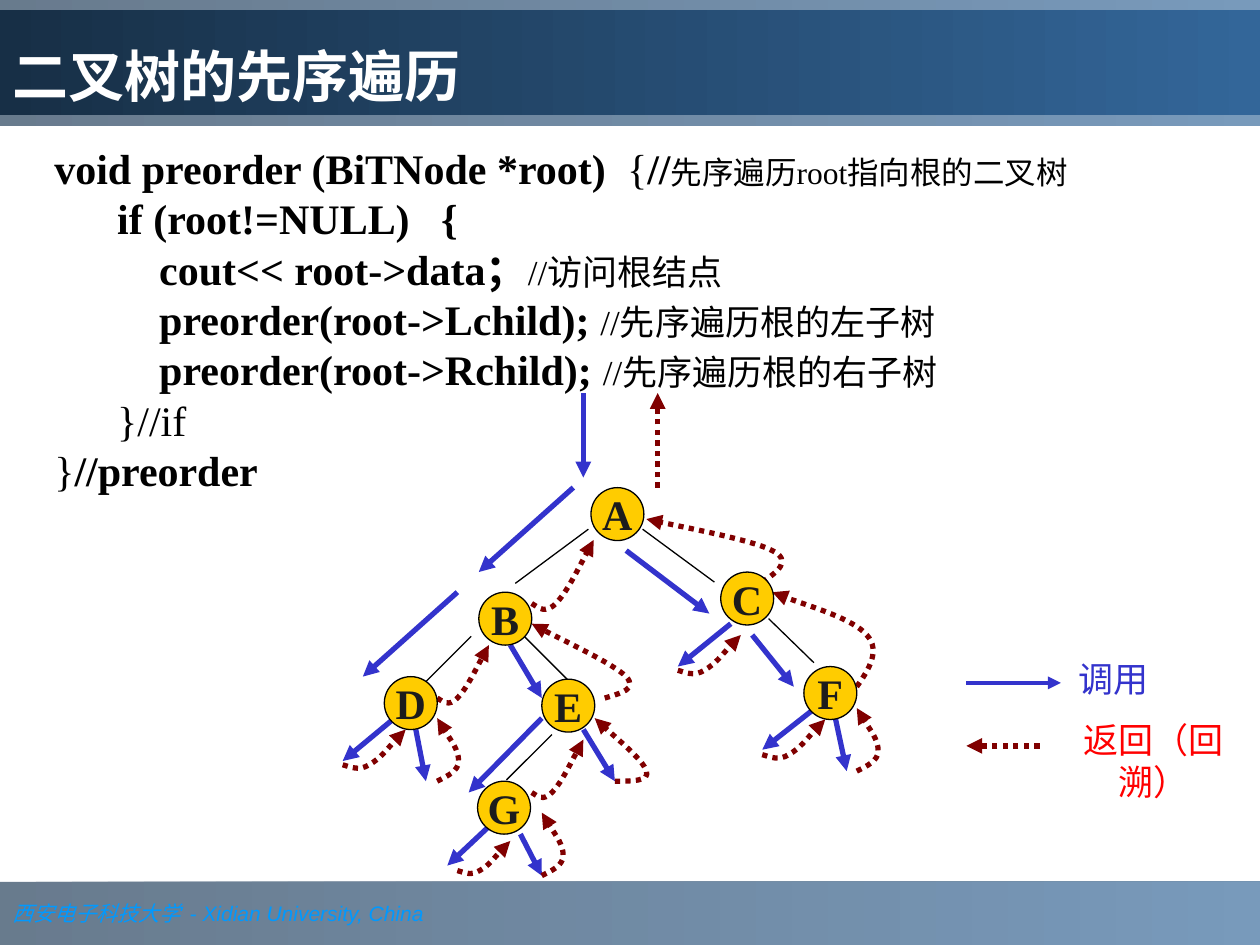
"""Build the slide on preorder traversal of a binary tree."""
from lxml import etree
from pptx import Presentation
from pptx.dml.color import RGBColor
from pptx.enum.dml import MSO_LINE
from pptx.enum.shapes import MSO_CONNECTOR, MSO_SHAPE
from pptx.enum.text import MSO_ANCHOR, PP_ALIGN
from pptx.oxml.ns import qn
from pptx.util import Inches, Pt

RECTANGLE, OVAL = MSO_SHAPE.RECTANGLE, MSO_SHAPE.OVAL
STRAIGHT = MSO_CONNECTOR.STRAIGHT
DOTTED = MSO_LINE.ROUND_DOT
MIDDLE, BOTTOM = MSO_ANCHOR.MIDDLE, MSO_ANCHOR.BOTTOM
LEFT, CENTER = PP_ALIGN.LEFT, PP_ALIGN.CENTER

WHITE = RGBColor(0xFF, 0xFF, 0xFF)
BLACK = RGBColor(0x00, 0x00, 0x00)
BAND_DARK = RGBColor(0x1B, 0x37, 0x53)
TITLE_DARK = RGBColor(0x17, 0x2F, 0x46)
BAND_LIGHT = RGBColor(0x33, 0x66, 0x99)
FOOTER_BLUE = RGBColor(0x00, 0x99, 0xFF)
CALL_BLUE = RGBColor(0x33, 0x33, 0xCC)
RETURN_MAROON = RGBColor(0x80, 0x00, 0x00)
RETURN_RED = RGBColor(0xFF, 0x00, 0x00)
NODE_YELLOW = RGBColor(0xFF, 0xCC, 0x00)
NODE_TEXT = RGBColor(0x1C, 0x1C, 0x1C)
SERIF = "Times New Roman"

prs = Presentation()
prs.slide_width, prs.slide_height = Inches(10), Inches(7.5)
slide = prs.slides.add_slide(prs.slide_layouts[6])
shapes = slide.shapes


def style_line(stroke, color, width, dotted=False, arrow=True):
    stroke.line.color.rgb = color
    stroke.line.width = Pt(width)
    if dotted:
        stroke.line.dash_style = DOTTED
    properties = stroke._element.spPr
    if arrow:
        etree.SubElement(properties.find(qn("a:ln")), qn("a:tailEnd"), type="triangle")
    etree.SubElement(properties, qn("a:effectLst"))


def add_straight(x1, y1, x2, y2, *style, **options):
    connector = shapes.add_connector(STRAIGHT, Inches(x1), Inches(y1), Inches(x2), Inches(y2))
    style_line(connector, *style, **options)


bands = []
for top, height, dark, opacity in [
    (7, 0.5, BAND_DARK, "66000"),
    (0, 1, BAND_DARK, "66000"),
    (0.08, 0.83, TITLE_DARK, None),
]:
    band = shapes.add_shape(RECTANGLE, 0, Inches(top), Inches(10), Inches(height))
    band.shadow.inherit = False
    band.line.fill.background()
    band.fill.gradient()
    band.fill.gradient_angle = 0
    for stop, color in zip(band.fill.gradient_stops, (dark, BAND_LIGHT)):
        stop.color.rgb = color
    if opacity:
        for color_element in band._element.spPr.iter(qn("a:srgbClr")):
            etree.SubElement(color_element, qn("a:alpha"), val=opacity)
    bands.append(band)
footer, _, title = bands

footer.text_frame.word_wrap = False
footer.text_frame.vertical_anchor = MIDDLE
university = footer.text_frame.paragraphs[0]
university.alignment = LEFT
university.font.size = Pt(12)
university.font.italic = True
university.font.color.rgb = FOOTER_BLUE
for wording, font_name in [("西安电子科技大学  ", SERIF), ("- Xidian University, China", "Arial")]:
    run = university.add_run()
    run.text = wording
    run.font.name = font_name

title.text_frame.vertical_anchor = BOTTOM
heading = title.text_frame.paragraphs[0]
heading.text = "二叉树的先序遍历"
heading.alignment = LEFT
heading.font.name = "Roboto"
heading.font.size = Pt(32)
heading.font.bold = True
heading.font.color.rgb = WHITE

code_lines = [
    [("\N{NO-BREAK SPACE}   void preorder (BiTNode *root)  ", 24, True), ("{", 24, False),
     ("//", 24, True), ("先序遍历root指向根的二叉树", 18, False)],
    [("          if (root!=NULL)   {", 24, True)],
    [("              cout<< root->data；", 24, True), ("//访问根结点", 20, False)],
    [("              preorder(root->Lchild); ", 24, True), ("//先序遍历根的左子树", 20, False)],
    [("              preorder(root->Rchild); ", 24, True), ("//先序遍历根的右子树", 20, False)],
    [("          }//if", 24, False)],
    [("    }", 24, False), ("//preorder", 24, True)],
]
listing = shapes.add_textbox(0, Inches(1.08), Inches(10), Inches(2.9))
listing.fill.solid()
listing.fill.fore_color.rgb = WHITE
listing.text_frame.word_wrap = True
for number, parts in enumerate(code_lines):
    code = listing.text_frame.add_paragraph() if number else listing.text_frame.paragraphs[0]
    code_properties = code._p.get_or_add_pPr()
    code_properties.set("marL", str(Inches(0.5)))
    code_properties.set("indent", str(Inches(-0.5)))
    code.font.name = SERIF
    code.font.color.rgb = BLACK
    for wording, size, bold in parts:
        run = code.add_run()
        run.text = wording
        run.font.size = Pt(size)
        run.font.bold = bold

tree_edges = [
    (4.67, 4.2, 4.09, 4.63), (5.1, 4.2, 5.67, 4.62), (4.16, 5.05, 4.52, 5.41),
    (4.38, 5.83, 4.02, 6.19), (3.74, 5.05, 3.38, 5.41), (6.1, 4.91, 6.46, 5.26),
]
for edge in tree_edges:
    add_straight(*edge, BLACK, 0.75, arrow=False)

calls = [
    (4.63, 3.12, 4.63, 3.79), (4.55, 3.87, 3.8, 4.54), (3.63, 4.7, 2.88, 5.37),
    (3.13, 5.7, 2.72, 6.04), (3.3, 5.79, 3.38, 6.2), (4.05, 5.12, 4.3, 5.54),
    (4.3, 5.7, 3.72, 6.29), (3.88, 6.56, 3.55, 6.87), (4.13, 6.62, 4.3, 6.95),
    (4.97, 4.37, 5.63, 4.87), (5.8, 4.95, 5.38, 5.29), (5.97, 5.04, 6.3, 5.45),
    (4.63, 5.79, 4.88, 6.2), (6.47, 5.62, 6.05, 5.95), (6.63, 5.7, 6.72, 6.12),
]
for call in calls:
    add_straight(*call, CALL_BLUE, 3)
add_straight(5.22, 3.87, 5.22, 3.12, RETURN_MAROON, 3, dotted=True)

LEFT_HOOK = [(0, 0), (0.07, 0.02), (0.13, 0.05), (0.21, 0), (0.3, -0.05), (0.45, -0.24), (0.5, -0.28)]
RIGHT_HOOK = [(0, 0), (0.08, -0.04), (0.17, -0.08), (0.17, -0.16), (0.17, -0.25), (0.03, -0.44), (0, -0.5)]
RISE = [(0, 0), (0.05, 0.03), (0.09, 0.07), (0.16, 0), (0.23, -0.07), (0.37, -0.35), (0.41, -0.42)]
E_TO_B = [(0, 0), (0.13, -0.04), (0.26, -0.07), (0.17, -0.17), (0.07, -0.27), (-0.46, -0.52), (-0.58, -0.59)]
E_RIGHT = [(0, 0), (0.14, 0), (0.28, 0), (0.25, -0.08), (0.23, -0.16), (-0.09, -0.43), (-0.16, -0.5)]
F_TO_C = [(0, 0), (0.1, -0.14), (0.19, -0.29), (0.08, -0.41), (-0.03, -0.54), (-0.54, -0.69), (-0.67, -0.75)]
C_TO_A = [(0, 0), (0.12, -0.08), (0.24, -0.17), (0.08, -0.25), (-0.07, -0.33), (-0.75, -0.46), (-0.92, -0.5)]
returns = [
    (2.72, 6.07, LEFT_HOOK, 1), (3.63, 6.91, LEFT_HOOK, 0.84),
    (5.38, 5.32, LEFT_HOOK, 1), (6.05, 5.99, LEFT_HOOK, 1),
    (3.47, 6.2, RIGHT_HOOK, 1), (4.3, 6.95, RIGHT_HOOK, 1), (6.8, 6.12, RIGHT_HOOK, 1),
    (3.47, 5.54, RISE, 1), (4.22, 6.29, RISE, 1), (4.22, 4.79, RISE, 1.2),
    (4.8, 5.54, E_TO_B, 1), (4.88, 6.2, E_RIGHT, 1),
    (6.8, 5.45, F_TO_C, 1), (6.05, 4.62, C_TO_A, 1),
]
for left, top, bend, scale in returns:
    start, *controls = [(Inches(left + x * scale), Inches(top + y * scale)) for x, y in bend]
    builder = shapes.build_freeform(*start)
    builder.add_line_segments(controls, close=False)
    curve = builder.convert_to_shape()
    segments = list(curve._element.spPr.iter(qn("a:lnTo")))
    for first in (0, 3):
        bezier = etree.Element(qn("a:cubicBezTo"))
        segments[first].addprevious(bezier)
        for segment in segments[first:first + 3]:
            bezier.append(segment[0])
            segment.getparent().remove(segment)
    curve.fill.background()
    style_line(curve, RETURN_MAROON, 3, dotted=True)

for letter, left, top in [
    ("A", 4.69, 3.87), ("B", 3.8, 4.7), ("D", 3.05, 5.37), ("E", 4.3, 5.39),
    ("G", 3.79, 6.2), ("C", 5.72, 4.54), ("F", 6.38, 5.29),
]:
    node = shapes.add_shape(OVAL, Inches(left), Inches(top), Inches(0.42), Inches(0.42))
    node.fill.solid()
    node.fill.fore_color.rgb = NODE_YELLOW
    style_line(node, BLACK, 0.75, arrow=False)
    node.text_frame.word_wrap = False
    node.text_frame.vertical_anchor = MIDDLE
    label = node.text_frame.paragraphs[0]
    label.text = letter
    label.alignment = CENTER
    label.font.name = SERIF
    label.font.size = Pt(24)
    label.font.bold = True
    label.font.color.rgb = NODE_TEXT

add_straight(7.67, 5.42, 8.42, 5.42, CALL_BLUE, 2.5)
add_straight(8.25, 5.92, 7.67, 5.92, RETURN_MAROON, 3, dotted=True)
for wording, left, top, width, height, color in [
    ("调用", 8.42, 5.17, 0.83, 0.44, CALL_BLUE),
    ("返回（回溯）", 8.31, 5.65, 1.69, 0.77, RETURN_RED),
]:
    legend = shapes.add_textbox(Inches(left), Inches(top), Inches(width), Inches(height))
    legend.text_frame.word_wrap = True
    meaning = legend.text_frame.paragraphs[0]
    meaning.text = wording
    meaning.alignment = CENTER
    meaning.font.name = "Roboto"
    meaning.font.size = Pt(20)
    meaning.font.color.rgb = color

prs.save("out.pptx")
